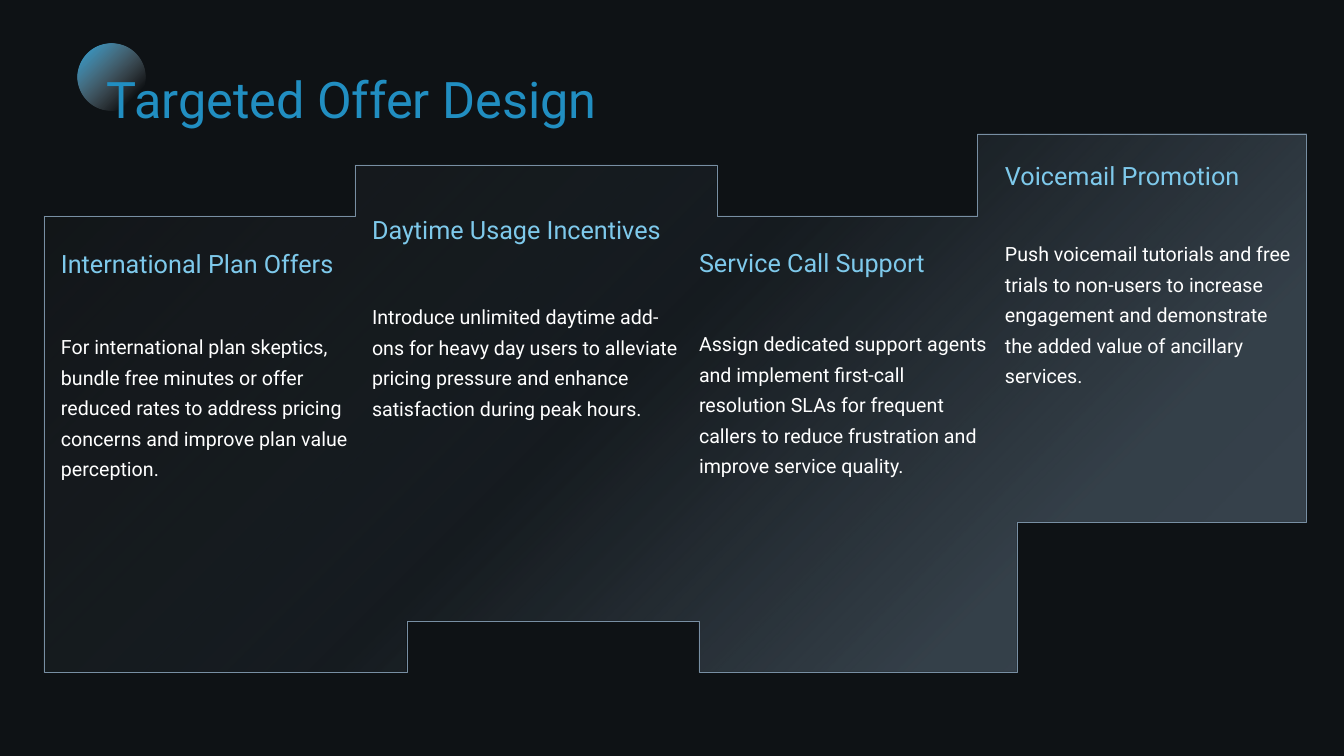
from lxml import etree
from pptx import Presentation
from pptx.dml.color import RGBColor
from pptx.enum.shapes import MSO_SHAPE
from pptx.enum.text import MSO_AUTO_SIZE
from pptx.oxml.ns import qn
from pptx.util import Pt

PX = 914400 / 100.8
OVAL = MSO_SHAPE.OVAL
GROW = MSO_AUTO_SIZE.SHAPE_TO_FIT_TEXT

NIGHT = RGBColor(0x0E, 0x12, 0x15)
SLATE = RGBColor(0x78, 0x8F, 0xA3)
COAL = RGBColor(0x23, 0x23, 0x22)
AZURE = RGBColor(0x28, 0xA4, 0xDE)
MIST = RGBColor(0xC5, 0xC9, 0xCE)
BLUE = RGBColor(0x21, 0x8E, 0xC1)
SKY = RGBColor(0x7E, 0xC9, 0xEB)
WHITE = RGBColor(0xFF, 0xFF, 0xFF)

# Each style: size, colour, line spacing, inset in px
STYLES = {
    "title": (36, BLUE, 1.2, 0),
    "head": (18, SKY, 1.0, 5),
    "body": (14, WHITE, 1.3, 5),
}

# Gradient stops: position %, colour, opacity %
PANEL_FADE = [(0, SLATE, 39), (22, SLATE, 36), (54, SLATE, 7), (100, COAL, 15)]
DOT_FADE = [(0, AZURE, 100), (81, MIST, 0), (100, MIST, 0)]

OUTLINE = [
    (44, 216), (355, 216), (355, 165), (717, 165), (717, 216), (977, 216),
    (977, 134), (1306, 134), (1306, 522), (1017, 522), (1017, 672),
    (699, 672), (699, 621), (407, 621), (407, 672), (44, 672),
]

# Each offer: left, width, top of heading, top of body, heading, body
OFFERS = [
    (56, 297, 243, 323, "International Plan Offers",
     "For international plan skeptics, bundle free minutes or offer reduced "
     "rates to address pricing concerns and improve plan value perception."),
    (367, 321, 209, 293, "Daytime Usage Incentives",
     "Introduce unlimited daytime add-ons for heavy day users to alleviate "
     "pricing pressure and enhance satisfaction during peak hours."),
    (694, 303, 242, 320, "Service Call Support",
     "Assign dedicated support agents and implement first-call resolution "
     "SLAs for frequent callers to reduce frustration and improve service "
     "quality."),
    (1000, 297, 155, 230, "Voicemail Promotion",
     "Push voicemail tutorials and free trials to non-users to increase "
     "engagement and demonstrate the added value of ancillary services."),
]


def emu(*px):
    return [round(v * PX) for v in px]


def assign(target, values):
    for name, value in values.items():
        setattr(target, name, value)


class Canvas:
    def __init__(self, slide, font):
        self.slide = slide
        self.shapes = slide.shapes
        self.font = font

    def backdrop(self, color):
        fill = self.slide.background.fill
        fill.solid()
        fill.fore_color.rgb = color

    def fade(self, shape, stops, angle):
        """Fill with a gradient; the angle runs clockwise from left to right."""
        shape.shadow.inherit = False
        shape.fill.gradient()
        shape.fill.gradient_angle = 360 - angle
        stop_list = next(shape._element.iter(qn("a:gsLst")))
        stop_list.clear()
        for place, color, alpha in stops:
            stop = etree.SubElement(stop_list, qn("a:gs"), pos=str(place * 1000))
            tint = etree.SubElement(stop, qn("a:srgbClr"), val=str(color))
            etree.SubElement(tint, qn("a:alpha"), val=str(alpha * 1000))

    def panel(self, points, stops, angle, color):
        pen = self.shapes.build_freeform(*points[0], scale=PX)
        pen.add_line_segments(points[1:], close=True)
        shape = pen.convert_to_shape()
        self.fade(shape, stops, angle)
        shape.line.color.rgb = color
        shape.line.width = Pt(0.5)

    def dot(self, left, top, size, stops, angle):
        shape = self.shapes.add_shape(OVAL, *emu(left, top, size, size))
        self.fade(shape, stops, angle)
        shape.line.fill.background()

    def text(self, words, style, *box):
        size, color, spacing, inset = STYLES[style]
        frame = self.shapes.add_textbox(*emu(*box)).text_frame
        sides = ("left", "top", "right", "bottom")
        assign(frame, {f"margin_{side}": emu(inset)[0] for side in sides})
        assign(frame, {"word_wrap": True, "auto_size": GROW})
        para = frame.paragraphs[0]
        para.line_spacing = spacing
        run = para.add_run()
        run.text = words
        assign(run.font, {"name": self.font, "size": Pt(size)})
        run.font.color.rgb = color


def main():
    deck = Presentation()
    deck.slide_width, deck.slide_height = emu(1344, 756)
    canvas = Canvas(deck.slides.add_slide(deck.slide_layouts[6]), "Roboto")
    canvas.backdrop(NIGHT)
    canvas.panel(OUTLINE, PANEL_FADE, 225, SLATE)
    canvas.dot(78, 44, 67, DOT_FADE, 45)
    canvas.text("Targeted Offer Design", "title", 107, 56, 1160, 73)
    for left, width, head_top, body_top, head, body in OFFERS:
        canvas.text(head, "head", left, head_top, width, 31)
        canvas.text(body, "body", left, body_top, width, 157)
    deck.save("out.pptx")


if __name__ == "__main__":
    main()
